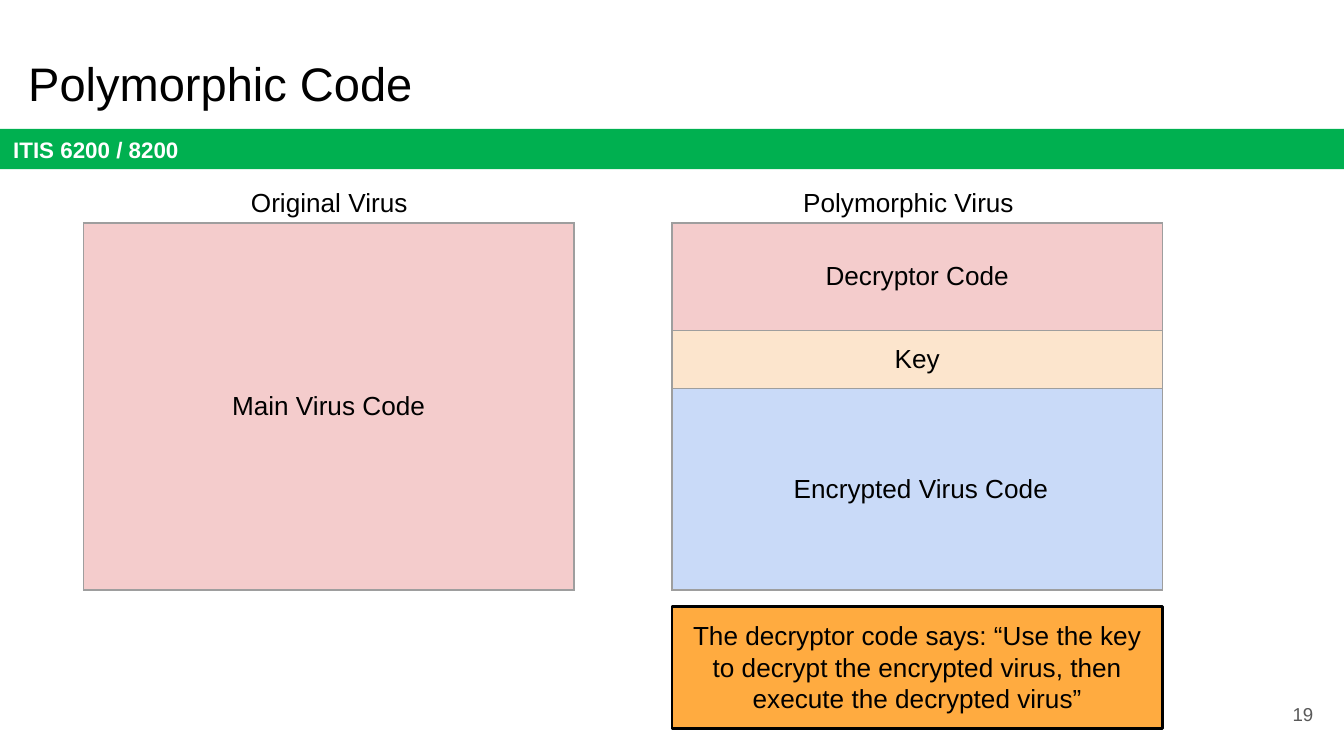
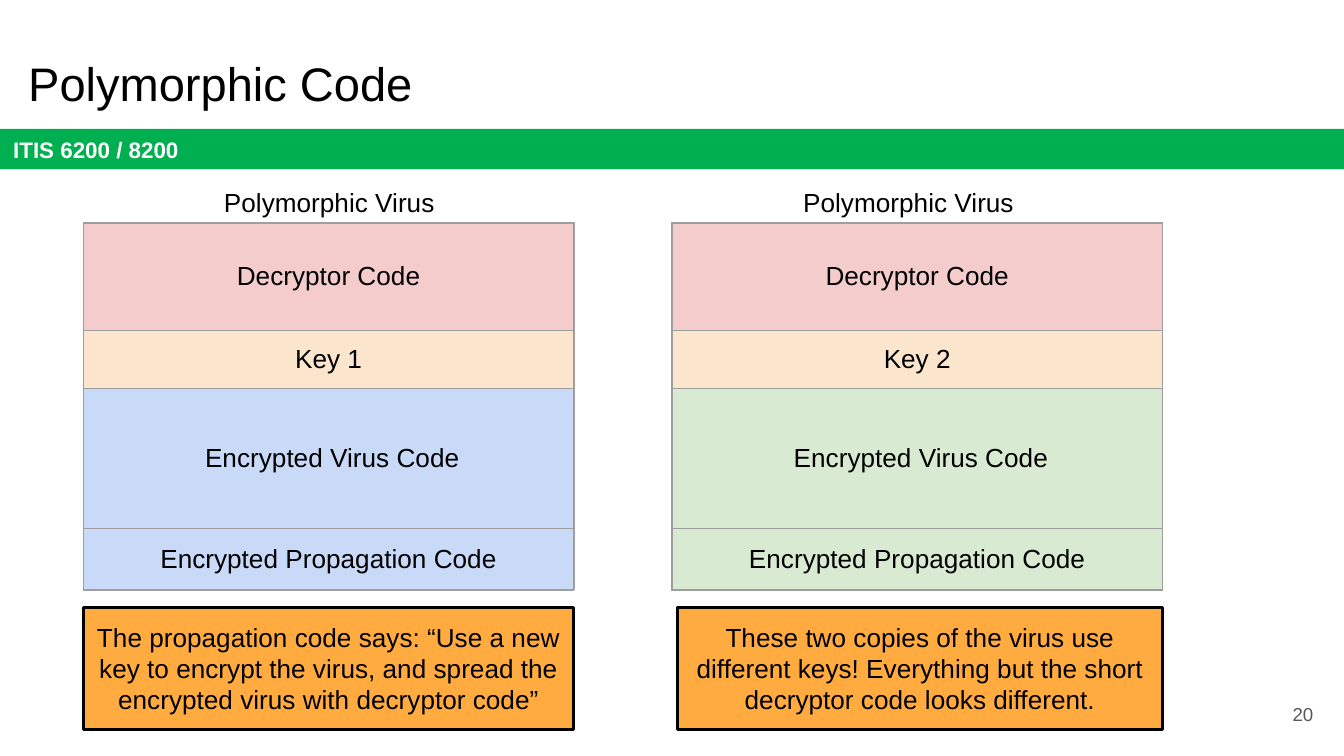
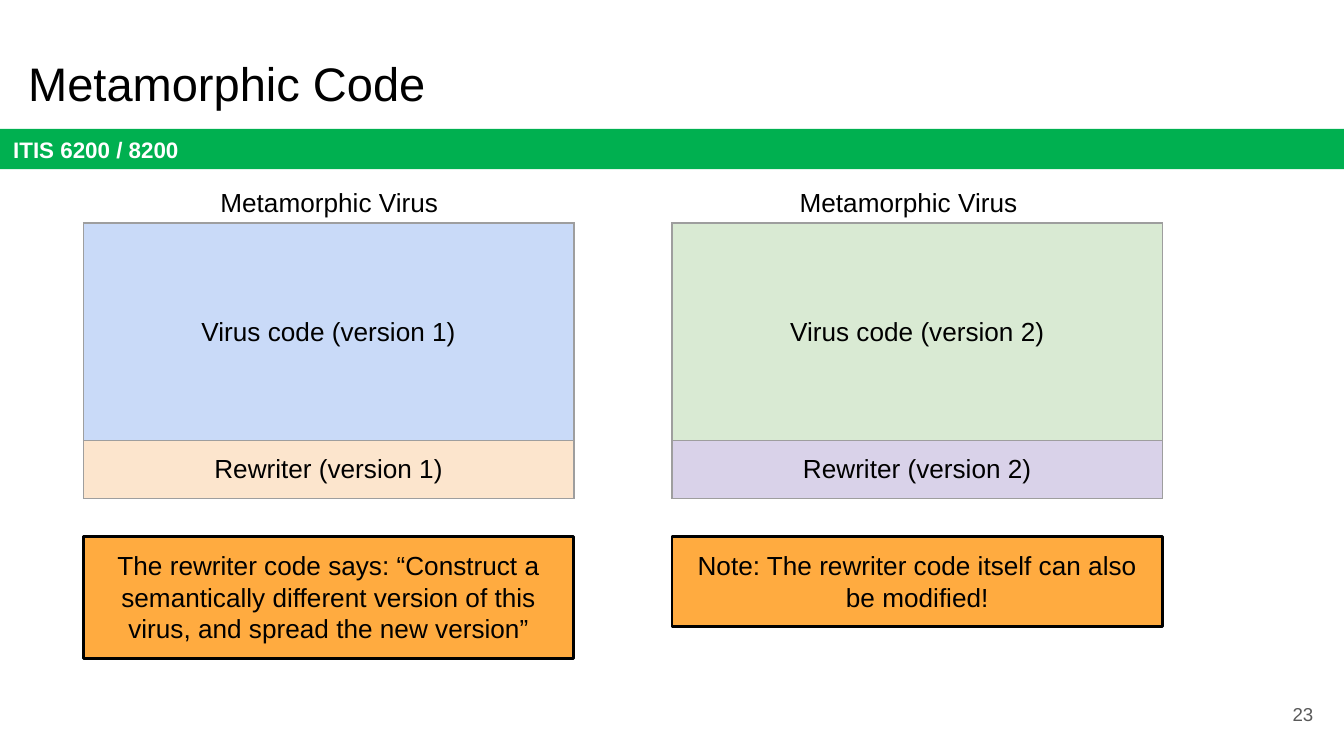
from lxml import etree
from pptx import Presentation
from pptx.dml.color import RGBColor
from pptx.enum import shapes, text
from pptx.oxml import ns
from pptx.util import Inches, Pt

GREEN = RGBColor(0x00, 0xB0, 0x50)
ORANGE = RGBColor(0xFF, 0xAB, 0x40)
ROSE = RGBColor(0xF4, 0xCC, 0xCC)
CREAM = RGBColor(0xFC, 0xE5, 0xCD)
SKY = RGBColor(0xC9, 0xDA, 0xF8)
MINT = RGBColor(0xD9, 0xEA, 0xD3)
LILAC = RGBColor(0xD9, 0xD2, 0xE9)
BLACK = RGBColor(0, 0, 0)
WHITE = RGBColor(255, 255, 255)
GRAY = RGBColor(0x59, 0x59, 0x59)
EDGE = RGBColor(0x9E, 0x9E, 0x9E)

FONT = "Arial"
COURSE = "ITIS 6200 / 8200"
WIDE, TOP = 3.65, 1.66
LEFT, RIGHT = 0.62, 5
MID = text.MSO_ANCHOR.MIDDLE
CENTER = text.PP_ALIGN.CENTER


def copy_of(key, tint):
    return [
        ("Decryptor Code", 0.8, ROSE),
        (key, 0.43, CREAM),
        (" Encrypted Virus Code", 1.04, tint),
        ("Encrypted Propagation Code", 0.46, tint),
    ]


def version(num, tint, shade):
    return [
        (f"Virus code (version {num})", 1.62, tint),
        (f"Rewriter (version {num})", 0.43, shade),
    ]


SLIDES = [
    {
        "title": "Polymorphic Code",
        "page": 19,
        "heads": ("Original Virus", "Polymorphic Virus"),
        "stacks": (
            [("Main Virus Code", 2.73, ROSE)],
            [
                ("Decryptor Code", 0.8, ROSE),
                ("Key", 0.43, CREAM),
                (" Encrypted Virus Code", 1.5, SKY),
            ],
        ),
        "notes": [
            ("The decryptor code says: “Use the key to decrypt the encrypted "
             "virus, then execute the decrypted virus”", (RIGHT, 4.51, WIDE, 0.91)),
        ],
    },
    {
        "title": "Polymorphic Code",
        "page": 20,
        "heads": ("Polymorphic Virus", "Polymorphic Virus"),
        "stacks": (copy_of("Key 1", SKY), copy_of("Key 2", MINT)),
        "notes": [
            ("The propagation code says: “Use a new key to encrypt the virus, "
             "and spread the encrypted virus with decryptor code”",
             (LEFT, 4.52, WIDE, 0.91)),
            ("These two copies of the virus use different keys! Everything but "
             "the short decryptor code looks different.", (5.04, 4.52, 3.61, 0.91)),
        ],
    },
    {
        "title": "Metamorphic Code",
        "page": 23,
        "heads": ("Metamorphic Virus", "Metamorphic Virus"),
        "stacks": (version(1, SKY, CREAM), version(2, MINT, LILAC)),
        "notes": [
            ("The rewriter code says: “Construct a semantically different "
             "version of this virus, and spread the new version”",
             (LEFT, 3.99, WIDE, 0.91)),
            ("Note: The rewriter code itself can also be modified!",
             (RIGHT, 3.99, WIDE, 0.67)),
        ],
    },
]


def box(at):
    return [Inches(n) for n in at]


def write(frame, words, size=14, color=BLACK, align=CENTER, bold=False):
    frame.text = words
    para = frame.paragraphs[0]
    para.alignment = align
    font = para.runs[0].font
    font.name, font.size, font.bold = FONT, Pt(size), bold
    font.color.rgb = color


def pad(item):
    item.margin_left = item.margin_right = Inches(0.1)
    item.margin_top = item.margin_bottom = Inches(0.1)


def label(shape, words, anchor=text.MSO_ANCHOR.TOP, **style):
    frame = shape.text_frame
    frame.word_wrap = True
    frame.auto_size = text.MSO_AUTO_SIZE.NONE
    frame.vertical_anchor = anchor
    pad(frame)
    write(frame, words, **style)


def block(slide, at, fill, line=None):
    shape = slide.shapes.add_shape(shapes.MSO_SHAPE.RECTANGLE, *box(at))
    shape.shadow.inherit = False
    shape.fill.solid()
    shape.fill.fore_color.rgb = fill
    if line is None:
        shape.line.fill.background()
    else:
        shape.line.color.rgb = line
        shape.line.width = Pt(1.5)
    return shape


def edge(cell):
    props = cell._tc.get_or_add_tcPr()
    for side in ("lnL", "lnR", "lnT", "lnB"):
        line = etree.SubElement(props, ns.qn(f"a:{side}"), w=str(Pt(0.75)))
        fill = etree.SubElement(line, ns.qn("a:solidFill"))
        etree.SubElement(fill, ns.qn("a:srgbClr"), val=str(EDGE))


def stack(slide, left, rows):
    high = sum(row[1] for row in rows)
    table = slide.shapes.add_table(
        len(rows), 1, *box((left, TOP, WIDE, high))).table
    table.first_row = table.horz_banding = False
    for i, (words, tall, tint) in enumerate(rows):
        table.rows[i].height = Inches(tall)
        cell = table.cell(i, 0)
        edge(cell)
        cell.fill.solid()
        cell.fill.fore_color.rgb = tint
        cell.vertical_anchor = MID
        pad(cell)
        write(cell.text_frame, words)


def frame_up(slide, title, page):
    band = block(slide, (0, 0.96, 10, 0.3), GREEN)
    label(band, COURSE, MID, size=12, color=WHITE,
          align=text.PP_ALIGN.LEFT, bold=True)
    head = slide.shapes.title
    head.left, head.top, head.width, head.height = box((0.11, 0.3, 9.32, 0.63))
    label(head, title, MID, size=25.2, align=text.PP_ALIGN.LEFT)
    foot = slide.shapes.add_textbox(*box((9.27, 5.1, 0.6, 0.43)))
    label(foot, str(page), MID, size=10, color=GRAY, align=text.PP_ALIGN.RIGHT)


def main():
    deck = Presentation()
    deck.slide_width = Inches(10)
    deck.slide_height = deck.slide_width * 9 // 16
    for data in SLIDES:
        slide = deck.slides.add_slide(deck.slide_layouts[5])
        frame_up(slide, data["title"], data["page"])
        for left, rows in zip((LEFT, RIGHT), data["stacks"]):
            stack(slide, left, rows)
        for left, words in zip((0.69, RIGHT), data["heads"]):
            label(slide.shapes.add_textbox(*box((left, 1.29, 3.52, 0.44))), words)
        for words, at in data["notes"]:
            label(block(slide, at, ORANGE, BLACK), words)
    deck.save("out.pptx")


if __name__ == "__main__":
    main()
